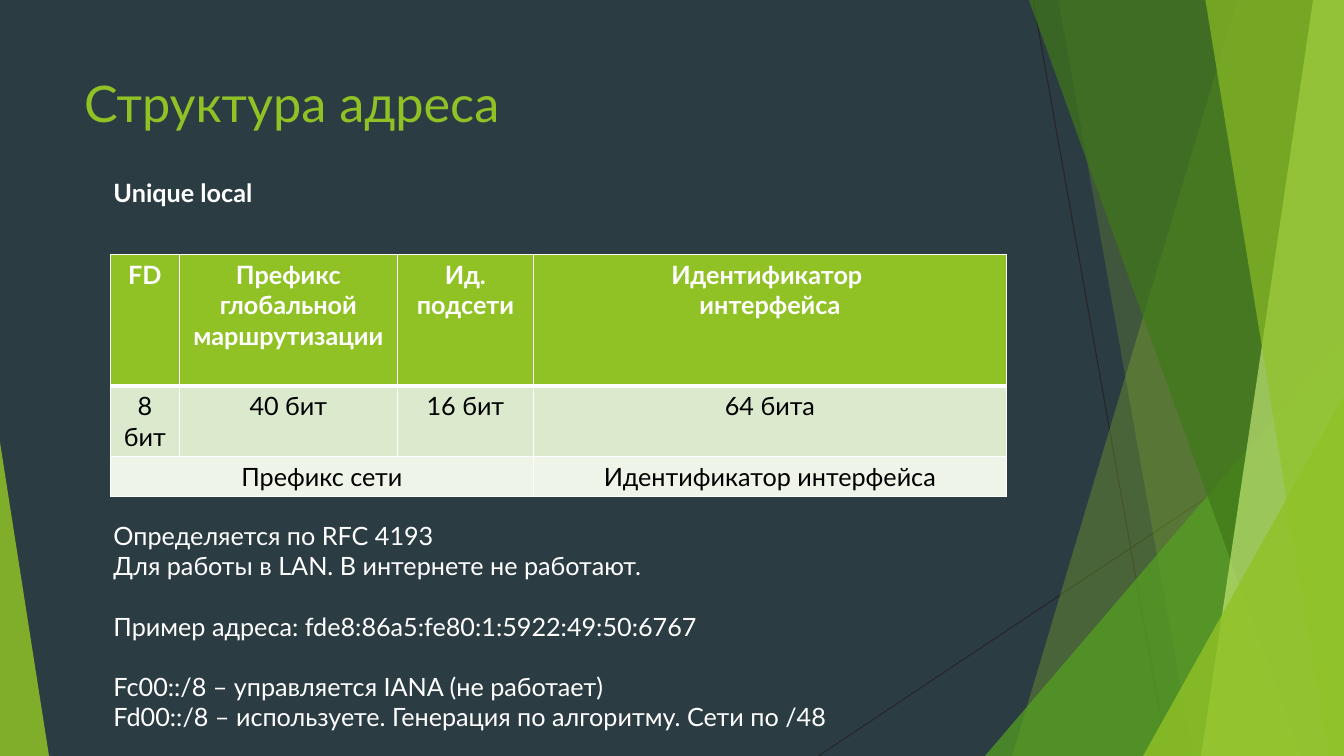
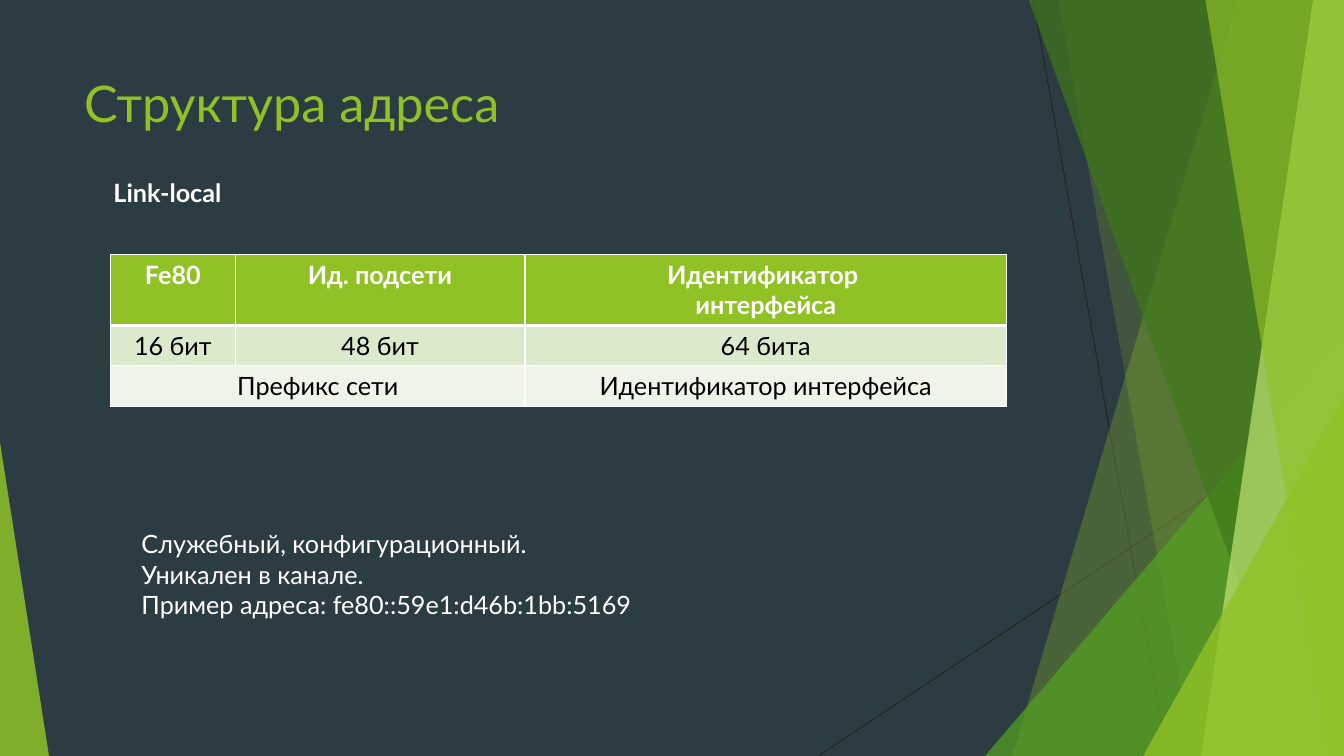
from lxml import etree
from pptx import Presentation
from pptx.dml.color import RGBColor
from pptx.enum.shapes import MSO_CONNECTOR, MSO_SHAPE
from pptx.enum.text import PP_ALIGN
from pptx.oxml.ns import qn
from pptx.util import Pt

TRIANGLE = MSO_SHAPE.ISOSCELES_TRIANGLE
STRAIGHT = MSO_CONNECTOR.STRAIGHT
CENTER = PP_ALIGN.CENTER

BACKGROUND = RGBColor(0x2C, 0x3C, 0x43)
LIME = RGBColor(0x90, 0xC2, 0x26)
GREEN = RGBColor(0x54, 0xA0, 0x21)
DARK_GREEN = RGBColor(0x3F, 0x78, 0x19)
PALE_LIME = RGBColor(0xC0, 0xE4, 0x74)
LINE = RGBColor(0x26, 0x26, 0x26)
WHITE = RGBColor(0xFF, 0xFF, 0xFF)
BLACK = RGBColor(0x00, 0x00, 0x00)
ROW_FILLS = (LIME, RGBColor(0xDB, 0xE9, 0xCD), RGBColor(0xEE, 0xF4, 0xE8))

FONT = "Lato"
BODY = 18
BODY_LINE = 21.6
WIDTH, HEIGHT = 960, 540

TITLE = "Структура адреса"
INTERFACE = "Идентификатор интерфейса"
INTERFACE_HEAD = "Идентификатор \nинтерфейса"
NETWORK = "Префикс сети"


# Text
def add_run(p, text, color, size=BODY, bold=False):
    r = p.add_run()
    r.text = text
    r.font.name = FONT
    r.font.size = Pt(size)
    r.font.bold = bold
    r.font.color.rgb = color


def add_text(s, box, lines, color=WHITE, size=BODY, bold=False, gaps=()):
    """Write one paragraph per line; gaps lists the lines set off by space."""
    tf = s.shapes.add_textbox(*map(Pt, box)).text_frame
    tf.word_wrap = True
    for i, line in enumerate(lines):
        p = tf.paragraphs[0] if i == 0 else tf.add_paragraph()
        if i in gaps:
            p.space_before = Pt(BODY_LINE)
        add_run(p, line, color, size, bold)


# Decoration
def paint(sp, color, opacity):
    sp.shadow.inherit = False
    sp.fill.solid()
    sp.fill.fore_color.rgb = color
    sp.line.fill.background()
    clr = sp.element.spPr.find(qn("a:solidFill")).find(qn("a:srgbClr"))
    etree.SubElement(clr, qn("a:alpha")).set("val", str(opacity * 1000))


def add_line(s, *ends):
    cx = s.shapes.add_connector(STRAIGHT, *map(Pt, ends))
    cx.line.color.rgb = LINE
    cx.line.width = Pt(0.75)
    etree.SubElement(cx.element.spPr, qn("a:effectLst"))


def add_band(s, top_x, bottom_x, color, opacity):
    """Full-height band from a slanted edge to the right side of the slide."""
    fb = s.shapes.build_freeform(Pt(top_x), 0)
    corners = ((WIDTH, 0), (WIDTH, HEIGHT), (bottom_x, HEIGHT))
    fb.add_line_segments([(Pt(x), Pt(y)) for x, y in corners], close=True)
    paint(fb.convert_to_shape(), color, opacity)


def add_corner(s, left, top, width, apex, color, opacity):
    """Right triangle standing on the bottom edge; apex 0 left, 1 right."""
    sp = s.shapes.add_shape(TRIANGLE, Pt(left), Pt(top), Pt(width), Pt(HEIGHT - top))
    sp.adjustments[0] = apex
    paint(sp, color, opacity)


def add_facets(s):
    add_line(s, 738, 0, 834, HEIGHT)
    add_line(s, WIDTH, 290, 584.6, HEIGHT)
    add_band(s, 884, 723, LIME, 30)
    add_band(s, 756, 852, LIME, 20)
    add_corner(s, 703.5, 240, 256.5, 1, GREEN, 72)
    add_band(s, 735, 929.5, DARK_GREEN, 70)
    add_band(s, 938, 858, PALE_LIME, 70)
    add_band(s, 861, 949, LIME, 65)
    add_corner(s, 816.5, 283, 143.5, 1, LIME, 80)
    add_corner(s, 0, 316, 35, 0, LIME, 85)


# Table
def set_borders(cell, row):
    """White grid, with a thick rule below the header row."""
    tc_pr = cell._tc.get_or_add_tcPr()
    widths = {"L": 1, "R": 1, "T": 3 if row == 1 else 1, "B": 3 if row == 0 else 1}
    for side, width in widths.items():
        ln = etree.SubElement(tc_pr, qn("a:ln" + side), w=str(Pt(width)))
        fill = etree.SubElement(ln, qn("a:solidFill"))
        etree.SubElement(fill, qn("a:srgbClr"), val=str(WHITE))


def fill_cell(cell, text, row):
    set_borders(cell, row)
    cell.fill.solid()
    cell.fill.fore_color.rgb = ROW_FILLS[row]
    p = cell.text_frame.paragraphs[0]
    p.alignment = CENTER
    for i, part in enumerate(text.split("\n")):
        if i:
            p.add_line_break()
        if part:
            add_run(p, part, WHITE if row == 0 else BLACK, bold=row == 0)


def add_address_table(s, col_widths, row_heights, heads, sizes):
    """Fields, their sizes, and the network and interface halves below."""
    cols = len(heads)
    halves = [NETWORK] + [""] * (cols - 2) + [INTERFACE]
    frame = s.shapes.add_table(3, cols, Pt(79), Pt(182),
                               Pt(sum(col_widths)), Pt(sum(row_heights)))
    table = frame.table
    for col, width in zip(table.columns, col_widths):
        col.width = Pt(width)
    for row, height in zip(table.rows, row_heights):
        row.height = Pt(height)
    for i, texts in enumerate((heads, sizes, halves)):
        for j, text in enumerate(texts):
            fill_cell(table.cell(i, j), text, i)
    table.cell(2, 0).merge(table.cell(2, cols - 2))


# Slides
def add_slide(prs, subtitle):
    s = prs.slides.add_slide(prs.slide_layouts[6])
    add_facets(s)
    add_text(s, (53, 48, 677, 104), [TITLE], LIME, 36)
    add_text(s, (74, 123, 329, 29), [subtitle], bold=True)
    return s


def main():
    prs = Presentation()
    prs.slide_width, prs.slide_height = Pt(WIDTH), Pt(HEIGHT)
    background = prs.slide_master.background.fill
    background.solid()
    background.fore_color.rgb = BACKGROUND

    # Unique local addresses
    s = add_slide(prs, "Unique local")
    add_address_table(
        s, (49, 156, 97, 338), (93.6, 50.4, 28.8),
        ("FD", "Префикс глобальной маршрутизации", "Ид. подсети", INTERFACE_HEAD),
        ("8 бит", "40 бит", "16 бит", "64 бита"))
    add_text(s, (74, 368, 803, 160), [
        "Определяется по RFC 4193",
        "Для работы в LAN. В интернете не работают.",
        "Пример адреса: fde8:86a5:fe80:1:5922:49:50:6767",
        "Fc00::/8 – управляется IANA (не работает)",
        "Fd00::/8 – используете. Генерация по алгоритму. Сети по /48",
    ], gaps=(2, 3))

    # Link-local addresses
    s = add_slide(prs, "Link-local")
    add_address_table(
        s, (89, 207, 344), (50.4, 28.8, 28.8),
        ("Fe80", "Ид. подсети", INTERFACE_HEAD),
        ("16 бит", "48 бит", "64 бита"))
    add_text(s, (94, 374, 573, 73), [
        "Служебный, конфигурационный.",
        "Уникален в канале.",
        "Пример адреса: fe80::59e1:d46b:1bb:5169",
    ])

    prs.save("out.pptx")


if __name__ == "__main__":
    main()
